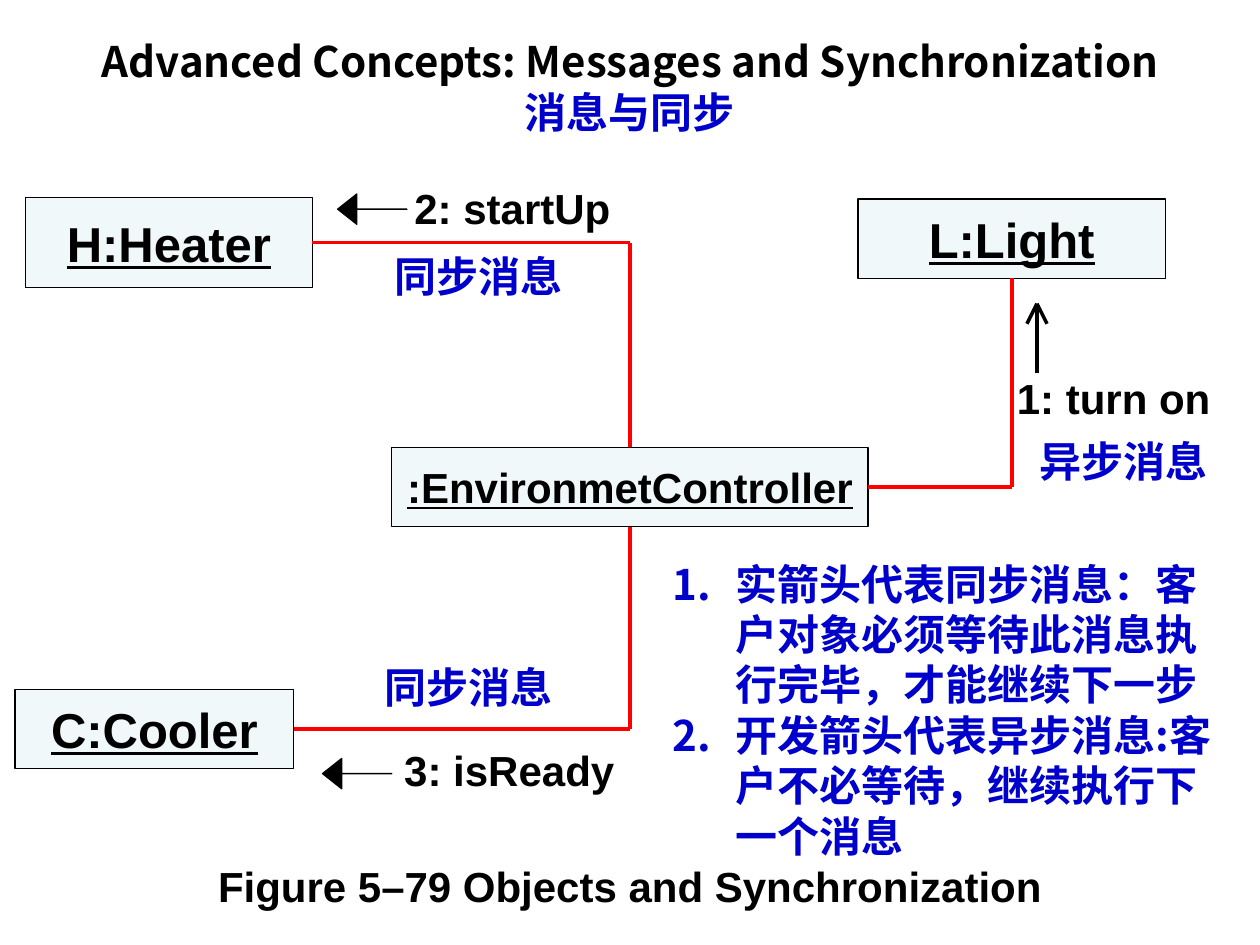
from dataclasses import dataclass

from lxml import etree
from pptx import Presentation
from pptx.dml.color import RGBColor
from pptx.enum.shapes import MSO_CONNECTOR, MSO_SHAPE
from pptx.enum.text import MSO_ANCHOR, PP_ALIGN
from pptx.oxml.ns import qn
from pptx.util import Inches, Pt

RECTANGLE, LEFT_ARROW = MSO_SHAPE.RECTANGLE, MSO_SHAPE.LEFT_ARROW
STRAIGHT = MSO_CONNECTOR.STRAIGHT
LEFT, CENTER = PP_ALIGN.LEFT, PP_ALIGN.CENTER
TOP, MIDDLE = MSO_ANCHOR.TOP, MSO_ANCHOR.MIDDLE
TOP_SIDE, LEFT_SIDE, BOTTOM_SIDE, RIGHT_SIDE = range(4)


@dataclass(frozen=True)
class Theme:
    ink: str = "000000"
    chinese: str = "0000CC"
    link: str = "FF0000"
    box: str = "BBE0E3"
    box_opacity: int = 20
    latin_font: str = "Arial"
    chinese_font: str = "Noto Sans CJK SC"
    object_size: int = 28
    text_size: int = 24
    outline: float = 0.75
    stroke: float = 2


class SlideBuilder:
    def __init__(self, slide, theme):
        self.slide, self.theme = slide, theme

    def style(self, paragraph, size, font_name, color, underline=None):
        font = paragraph.font
        font.size, font.bold, font.name = Pt(size), True, font_name
        font.underline = underline
        font.color.rgb = RGBColor.from_string(color)
        defaults = paragraph._p.pPr.find(qn("a:defRPr"))
        etree.SubElement(defaults, qn("a:ea"), typeface=font_name)

    def shape(self, preset, left, top, width, height, fill):
        shape = self.slide.shapes.add_shape(
            preset, Inches(left), Inches(top), Inches(width), Inches(height))
        shape.shadow.inherit = False
        shape.fill.solid()
        shape.fill.fore_color.rgb = RGBColor.from_string(fill)
        shape.line.color.rgb = RGBColor.from_string(self.theme.ink)
        shape.line.width = Pt(self.theme.outline)
        return shape

    def object_box(self, name, left, top, width, height, size):
        box = self.shape(RECTANGLE, left, top, width, height, self.theme.box)
        color = box._element.spPr.find(qn("a:solidFill"))[0]
        etree.SubElement(color, qn("a:alpha"), val=str(self.theme.box_opacity * 1000))
        frame = box.text_frame
        frame.word_wrap = False
        frame.vertical_anchor = MIDDLE
        paragraph = frame.paragraphs[0]
        paragraph.text, paragraph.alignment = name, CENTER
        self.style(paragraph, size, self.theme.latin_font, self.theme.ink, True)
        return box

    def text(self, words, left, top, width, height, chinese=False,
             align=LEFT, anchor=TOP, inset=True):
        frame = self.slide.shapes.add_textbox(
            Inches(left), Inches(top), Inches(width), Inches(height)).text_frame
        frame.word_wrap = True
        frame.vertical_anchor = anchor
        if not inset:
            frame.margin_left = frame.margin_right = 0
            frame.margin_top = frame.margin_bottom = 0
        paragraph = frame.paragraphs[0]
        paragraph.text, paragraph.alignment = words, align
        theme = self.theme
        self.style(paragraph, theme.text_size,
                   theme.chinese_font if chinese else theme.latin_font,
                   theme.chinese if chinese else theme.ink)
        return paragraph

    def title(self, english, chinese):
        theme = self.theme
        paragraph = self.text("", 0.5, 0.3, 9, 0.77, True, CENTER, MIDDLE)
        english_run = paragraph.add_run()
        english_run.text = english
        english_run.font.color.rgb = RGBColor.from_string(theme.ink)
        paragraph.add_line_break()
        paragraph.add_run().text = chinese

    def numbered_list(self, items, left, top, width, height):
        theme = self.theme
        frame = self.slide.shapes.add_textbox(
            Inches(left), Inches(top), Inches(width), Inches(height)).text_frame
        frame.word_wrap = True
        for index, item in enumerate(items):
            paragraph = frame.add_paragraph() if index else frame.paragraphs[0]
            paragraph.text = item
            properties = paragraph._p.get_or_add_pPr()
            properties.set("marL", str(Inches(0.5)))
            properties.set("indent", str(-Inches(0.5)))
            bullet_color = etree.SubElement(properties, qn("a:buClr"))
            etree.SubElement(bullet_color, qn("a:srgbClr"), val=theme.chinese)
            etree.SubElement(properties, qn("a:buFont"), typeface=theme.chinese_font)
            etree.SubElement(properties, qn("a:buAutoNum"), type="arabicPeriod")
            self.style(paragraph, theme.text_size, theme.chinese_font, theme.chinese)

    def line(self, start, end, color):
        line = self.slide.shapes.add_connector(STRAIGHT, *start, *end)
        line.line.color.rgb = RGBColor.from_string(color)
        line.line.width = Pt(self.theme.stroke)
        etree.SubElement(line._element.spPr, qn("a:effectLst"))
        return line

    def elbow_link(self, row_box, row_side, column_box, column_side):
        """Link two boxes by a level leg and an upright leg that share a corner."""
        corner = (column_box.left + column_box.width // 2,
                  row_box.top + row_box.height // 2)
        for box, side in ((row_box, row_side), (column_box, column_side)):
            self.line(corner, corner, self.theme.link).end_connect(box, side)

    def sync_arrow(self, left, top):
        arrow = self.shape(LEFT_ARROW, left, top, 0.55, 0.24, self.theme.ink)
        arrow.adjustments[0], arrow.adjustments[1] = 0, 0.632

    def async_arrow(self, x, top, bottom):
        tip = (Inches(x), Inches(top))
        tails = ((x, bottom), (x - 0.08, top + 0.16), (x + 0.08, top + 0.16))
        for tail_x, tail_y in tails:
            self.line((Inches(tail_x), Inches(tail_y)), tip, self.theme.ink)


def main():
    presentation = Presentation()
    presentation.slide_width, presentation.slide_height = Inches(10), Inches(7.5)
    theme = Theme()
    page = SlideBuilder(
        presentation.slides.add_slide(presentation.slide_layouts[6]), theme)

    page.title("Advanced Concepts: Messages and Synchronization", "消息与同步")

    # Objects
    heater = page.object_box("H:Heater", 0.2, 1.57, 2.28, 0.71, theme.object_size)
    light = page.object_box("L:Light", 6.81, 1.58, 2.44, 0.63, theme.object_size)
    cooler = page.object_box("C:Cooler", 0.12, 5.47, 2.21, 0.63, theme.object_size)
    controller = page.object_box(
        ":EnvironmetController", 3.11, 3.55, 3.78, 0.63, theme.text_size)

    # Links between the objects
    page.elbow_link(heater, RIGHT_SIDE, controller, TOP_SIDE)
    page.elbow_link(cooler, RIGHT_SIDE, controller, BOTTOM_SIDE)
    page.elbow_link(controller, RIGHT_SIDE, light, BOTTOM_SIDE)

    # Messages
    page.text("2: startUp", 3.19, 1.4, 1.89, 0.5)
    page.sync_arrow(2.68, 1.54)
    page.text("3: isReady", 3.11, 5.86, 1.89, 0.5)
    page.sync_arrow(2.56, 6.02)
    page.text("1: turn on", 8.07, 2.96, 1.81, 0.4, inset=False)
    page.async_arrow(8.23, 2.41, 2.96)

    # Kinds of message
    page.text("同步消息", 3.03, 1.94, 1.65, 0.5, chinese=True)
    page.text("同步消息", 2.95, 5.2, 1.73, 0.5, chinese=True)
    page.text("异步消息", 8.15, 3.41, 1.73, 0.5, chinese=True)

    # Explanation and caption
    page.numbered_list(
        ["实箭头代表同步消息：客户对象必须等待此消息执行完毕，才能继续下一步",
         "开发箭头代表异步消息:客户不必等待，继续执行下一个消息"],
        5.24, 4.38, 4.57, 2.5)
    caption = page.text("Figure 5–79 Objects and Synchronization",
                        0.5, 6.86, 9, 0.43, align=CENTER)
    caption.line_spacing = 0.8

    presentation.save("out.pptx")


if __name__ == "__main__":
    main()
